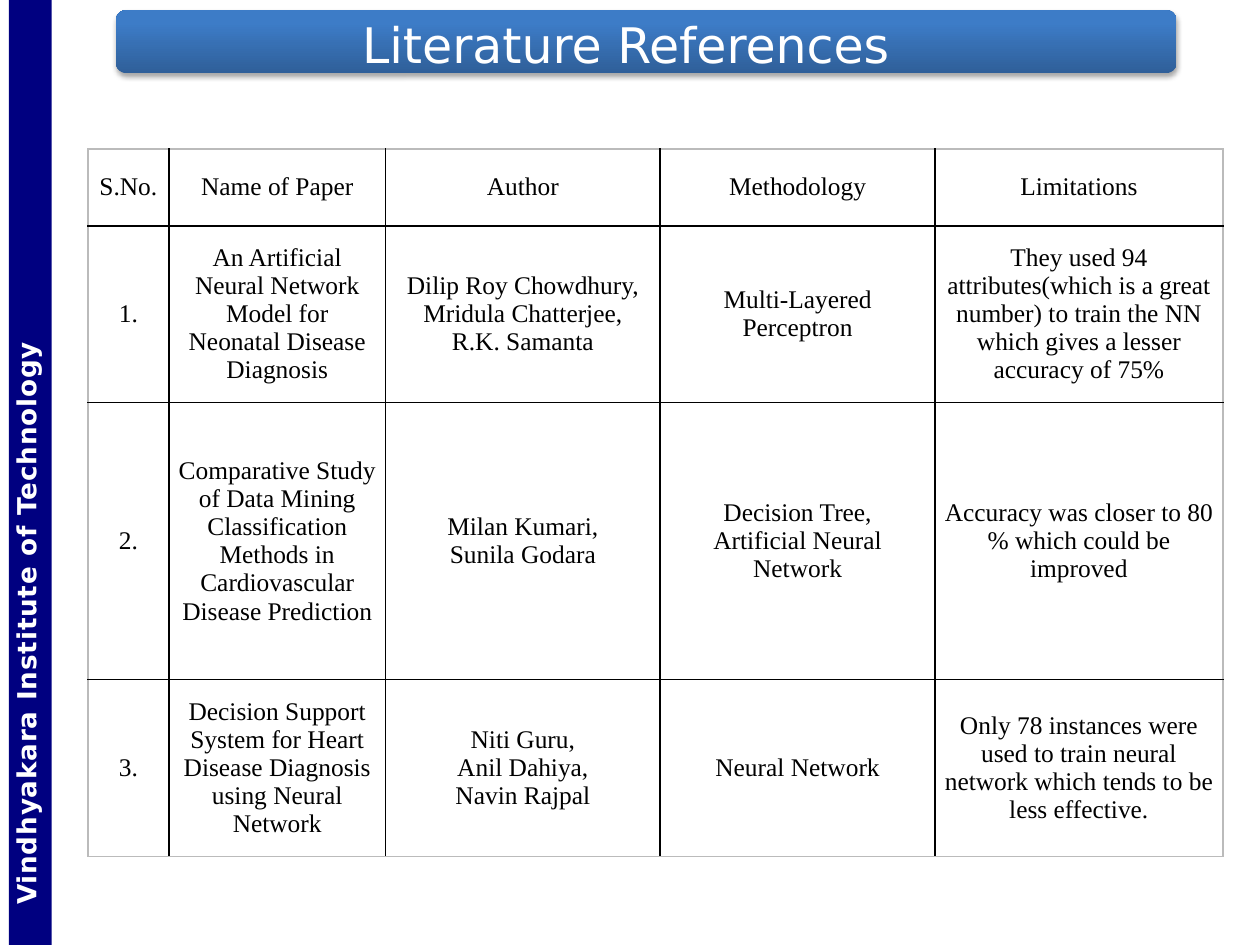
import dataclasses

import lxml.etree
import pptx
import pptx.dml.color
import pptx.enum.shapes
import pptx.enum.text
import pptx.oxml
import pptx.oxml.ns
import pptx.util

Pt = pptx.util.Pt
Align = pptx.enum.text.PP_ALIGN
Anchor = pptx.enum.text.MSO_ANCHOR
Shape = pptx.enum.shapes.MSO_SHAPE

HUES = {
    "white": "FFFFFF",
    "black": "000000",
    "navy": "000080",
    "deep": "2F5F99",
    "blue": "3D7CC7",
    "edge": "BBBBBB",
}
SANS = "DejaVu Sans"
SERIF = "Times New Roman"


@dataclasses.dataclass
class Box:
    left: float
    top: float
    width: float
    height: float

    def lengths(self) -> list:
        return [Pt(v) for v in dataclasses.astuple(self)]


@dataclasses.dataclass
class Paper:
    number: str
    name: str
    author: str
    method: str
    limits: str


PAPERS = [
    Paper("S.No.", "Name of Paper", "Author", "Methodology", "Limitations"),
    Paper(
        "1.",
        "An Artificial Neural Network Model for Neonatal Disease Diagnosis",
        "Dilip Roy Chowdhury,\nMridula Chatterjee,\nR.K. Samanta",
        "Multi-Layered Perceptron",
        "They used 94 attributes(which is a great number) to train the NN "
        "which gives a lesser accuracy of 75%",
    ),
    Paper(
        "2.",
        "Comparative Study of Data Mining Classification Methods in "
        "Cardiovascular Disease Prediction",
        "Milan Kumari,\nSunila Godara",
        "Decision Tree,\nArtificial Neural Network",
        "Accuracy was closer to 80 % which could be improved",
    ),
    Paper(
        "3.",
        "Decision Support System for Heart Disease Diagnosis using Neural Network",
        "Niti Guru,\nAnil Dahiya,\nNavin Rajpal",
        "Neural Network",
        "Only 78 instances were used to train neural network which tends to "
        "be less effective.",
    ),
]
WIDTHS = [46.3, 123.8, 157, 157, 164.5]
HEIGHTS = [44, 101, 158.4, 101]


def rgb(name: str):
    return pptx.dml.color.RGBColor.from_string(HUES[name])


def write(frame, text: str, *, size: float, font: str, hue: str = "black",
          bold: bool = False, align=Align.CENTER, anchor=Anchor.MIDDLE,
          pads=(7.2, 3.6, 7.2, 3.6), track: float = 0) -> None:
    """Fill a text frame; pads run left, top, right, bottom."""
    frame.word_wrap = True
    frame.vertical_anchor = anchor
    (frame.margin_left, frame.margin_top,
     frame.margin_right, frame.margin_bottom) = map(Pt, pads)
    frame.text = text
    for para in frame.paragraphs:
        para.alignment = align
        for run in para.runs:
            run.font.size = Pt(size)
            run.font.name = font
            run.font.bold = bold
            run.font.color.rgb = rgb(hue)
            if track:
                run.font._element.set("spc", str(round(track * 100)))


def add_band(slide) -> None:
    box = Box(-252.7, 257.8, 540, 24.5)
    band = slide.shapes.add_shape(Shape.RECTANGLE, *box.lengths())
    band.rotation = 270
    band.shadow.inherit = False
    band.fill.solid()
    band.fill.fore_color.rgb = rgb("navy")
    band.line.fill.background()
    write(band.text_frame, "Vindhyakara Institute of Technology", size=15,
          font=SANS, hue="white", bold=True, align=Align.LEFT,
          anchor=Anchor.TOP, pads=(23, 0.7, 7.2, 5), track=0.45)


def add_bar(slide):
    bar = slide.shapes.add_shape(
        Shape.ROUNDED_RECTANGLE, *Box(66.2, 5.8, 606.2, 36).lengths())
    bar.line.fill.background()
    bar.fill.gradient()
    bar.fill.gradient_angle = 90
    for stop, (place, hue) in zip(bar.fill.gradient_stops,
                                  [(0, "deep"), (0.8, "blue")]):
        stop.position = place
        stop.color.rgb = rgb(hue)
    bar.shadow.inherit = False
    glow = bar.element.spPr.find(pptx.oxml.ns.qn("a:effectLst"))
    glow.append(pptx.oxml.parse_xml(
        f'<a:outerShdw {pptx.oxml.ns.nsdecls("a")} blurRad="{Pt(3.1)}" '
        f'dist="{Pt(1.8)}" dir="5400000" rotWithShape="0">'
        f'<a:srgbClr val="{HUES["black"]}"><a:alpha val="35000"/></a:srgbClr>'
        '</a:outerShdw>'))
    return bar


def add_title(slide) -> None:
    """Place the title in front of its bar."""
    title = slide.shapes.title
    title.left, title.top, title.width, title.height = Box(
        129.6, 0, 455.8, 50.4).lengths()
    write(title.text_frame, "Literature References", size=28, font=SANS,
          hue="white")
    title.text_frame.auto_size = pptx.enum.text.MSO_AUTO_SIZE.NONE
    title.element.addprevious(add_bar(slide).element)


def rule(cell, outer: dict[str, bool]) -> None:
    """Draw the four borders, grey on the outside of the table."""
    props = cell._tc.get_or_add_tcPr()
    for spot, (side, out) in enumerate(outer.items()):
        hue = HUES["edge" if out else "black"]
        props.insert(spot, pptx.oxml.parse_xml(
            f'<a:{side} {pptx.oxml.ns.nsdecls("a")} w="{Pt(1)}">'
            f'<a:solidFill><a:srgbClr val="{hue}"/></a:solidFill></a:{side}>'))


def add_grid(slide) -> None:
    box = Box(50.2, 85, sum(WIDTHS), sum(HEIGHTS))
    rows, cols = len(HEIGHTS), len(WIDTHS)
    table = slide.shapes.add_table(rows, cols, *box.lengths()).table
    table.first_row = table.horz_banding = False
    for col, width in zip(table.columns, WIDTHS):
        col.width = Pt(width)
    for row, height in zip(table.rows, HEIGHTS):
        row.height = Pt(height)
    for r, paper in enumerate(PAPERS):
        for c, text in enumerate(dataclasses.astuple(paper)):
            cell = table.cell(r, c)
            write(cell.text_frame, text, size=14.5, font=SERIF)
            cell.vertical_anchor = Anchor.MIDDLE
            cell.margin_left = cell.margin_right = Pt(5)
            cell.margin_top = cell.margin_bottom = Pt(2.9)
            cell.fill.solid()
            cell.fill.fore_color.rgb = rgb("white")
            rule(cell, {"lnL": c == 0, "lnR": c == cols - 1,
                        "lnT": r == 0, "lnB": r == rows - 1})


def main() -> None:
    deck = pptx.Presentation()
    deck.slide_width, deck.slide_height = Pt(720), Pt(540)
    slide = deck.slides.add_slide(deck.slide_layouts[5])
    add_title(slide)
    add_band(slide)
    add_grid(slide)
    deck.save("out.pptx")


if __name__ == "__main__":
    main()
